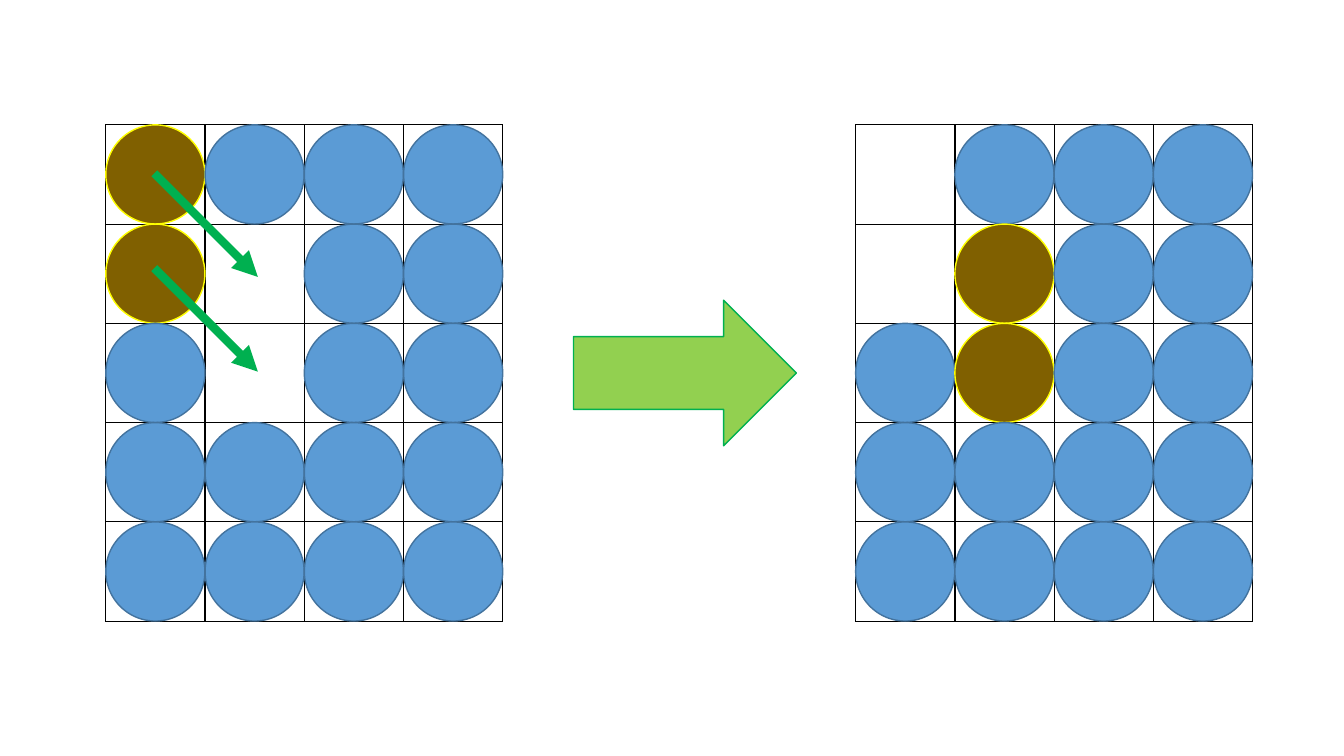
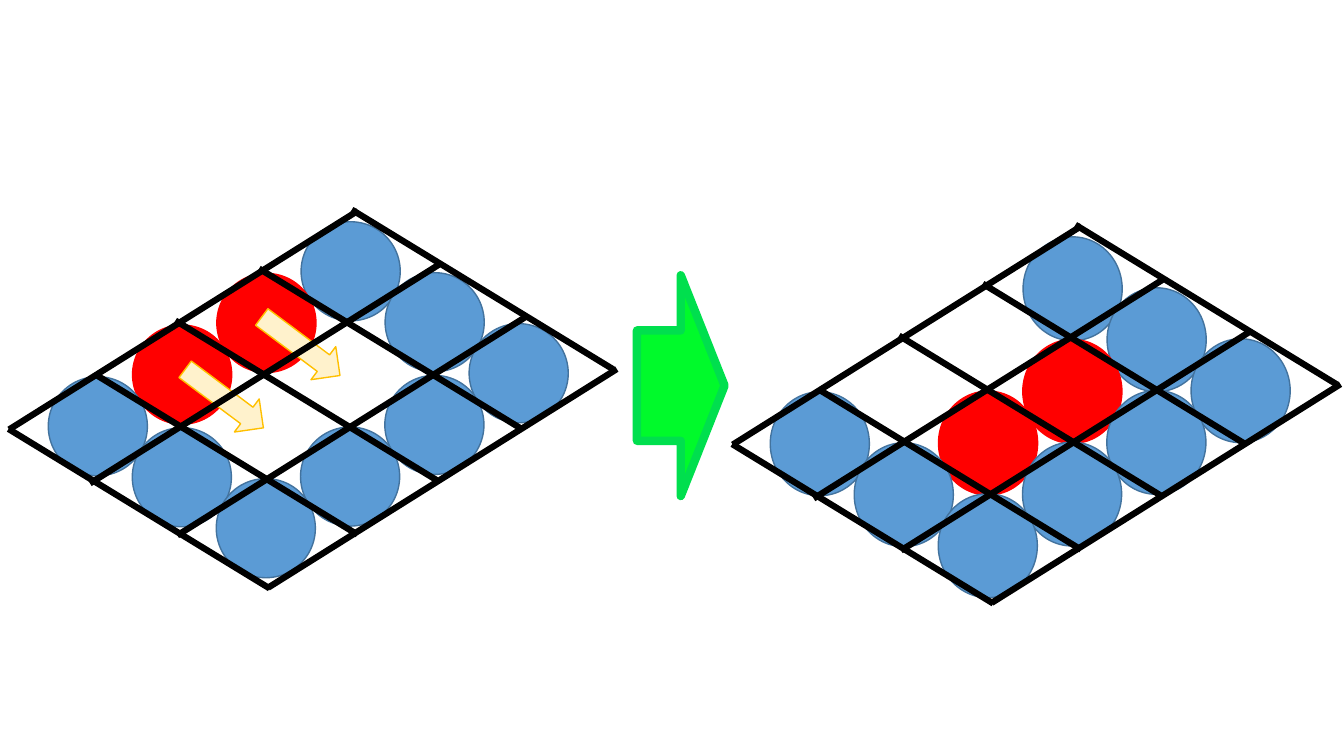
"""Build two slides that show a pair of pieces sliding into empty cells."""
from lxml import etree
from pptx import Presentation
from pptx.dml.color import RGBColor
from pptx.enum.shapes import MSO_CONNECTOR, MSO_SHAPE
from pptx.oxml.ns import qn
from pptx.util import Pt

OVAL = MSO_SHAPE.OVAL
RIGHT_ARROW = MSO_SHAPE.RIGHT_ARROW
STRAIGHT = MSO_CONNECTOR.STRAIGHT

BLACK, WHITE, GREEN = "000000", "FFFFFF", "00B050"
BLUE_PIECE = ("5B9BD5", "43739E")
BROWN_PIECE = ("806000", "FFFF00")
RED_PIECE = ("FF0000", "FF0000")
PIECE = 70.8

SQUARE_CELL = 70.9
SQUARE_TOP = 89.2
SQUARE_BOARDS = [
    (75.6, ["MBBB", "M.BB", "B.BB", "BBBB", "BBBB"]),
    (611.2, [".BBB", ".MBB", "BMBB", "BBBB", "BBBB"]),
]
MOVE_STARTS = [(110.2, 123.8), (110.2, 191.5)]
MOVE = (74, 74)

DIAMOND_BOARDS = [
    {"apex": (251.3, 149.8), "piece": (215.1, 158.4), "height": PIECE,
     "rows": ["BBB", "M.B", "M.B", "BBB"]},
    {"apex": (768.2, 160.6), "piece": (730.8, 169.2), "height": 74.2,
     "rows": ["BBB", ".MB", ".MB", "BBB"]},
]
ROW_STEP = (-60.2, 36.9)
COLUMN_STEP = (60, 36.4)
FALLING = (186.5, 113.9)
FALLING_STARTS = [(0, 0), (-66.2, 42.1), (-126, 79.2), (-182.5, 118.1), (-245.2, 156.6)]
RISING = (249.1, -156.2)
RISING_STARTS = [(-244.8, 157), (-187, 195.5), (-124.6, 232.6), (-59.8, 270)]
SMALL_ARROWS = [(180, 232.6), (125.3, 270)]


def color(value):
    return RGBColor.from_string(value)


def add_figure(page, kind, bounds, colors, weight=1, turn=0):
    figure = page.shapes.add_shape(kind, *(Pt(value) for value in bounds))
    figure.shadow.inherit = False
    figure.fill.solid()
    figure.fill.fore_color.rgb = color(colors[0])
    figure.line.color.rgb = color(colors[1])
    figure.line.width = Pt(weight)
    figure.rotation = turn


def add_stroke(page, start, vector, stroke_color, weight, arrow=False):
    end = [begin + change for begin, change in zip(start, vector)]
    stroke = page.shapes.add_connector(STRAIGHT, *(Pt(value) for value in (*start, *end)))
    stroke.line.color.rgb = color(stroke_color)
    stroke.line.width = Pt(weight)
    properties = stroke._element.spPr
    etree.SubElement(properties, qn("a:effectLst"))
    if arrow:
        etree.SubElement(properties.find(qn("a:ln")), qn("a:tailEnd"), type="triangle")


def add_pieces(page, rows, origin, row_step, column_step, height, moved_colors):
    for row, marks in enumerate(rows):
        for column, mark in enumerate(marks):
            if mark == ".":
                continue
            left, top = (origin[axis] + row * row_step[axis] + column * column_step[axis]
                         for axis in (0, 1))
            colors = moved_colors if mark == "M" else BLUE_PIECE
            add_figure(page, OVAL, (left, top, PIECE, height), colors)


def add_grid(page, left, top, row_count, column_count):
    frame = page.shapes.add_table(row_count, column_count, Pt(left), Pt(top),
                                  Pt(column_count * SQUARE_CELL), Pt(row_count * SQUARE_CELL))
    grid = frame.table
    grid.first_row = grid.horz_banding = False
    for row in grid.rows:
        row.height = Pt(SQUARE_CELL)
    for column in grid.columns:
        column.width = Pt(SQUARE_CELL)
    for cell in grid.iter_cells():
        properties = cell._tc.get_or_add_tcPr()
        for side in ("a:lnL", "a:lnR", "a:lnT", "a:lnB"):
            border = etree.SubElement(properties, qn(side), w=str(Pt(1)))
            fill = etree.SubElement(border, qn("a:solidFill"))
            etree.SubElement(fill, qn("a:srgbClr"), val=BLACK)
        cell.fill.solid()
        cell.fill.fore_color.rgb = color(WHITE)


def build_square_page(page):
    for left, rows in SQUARE_BOARDS:
        add_grid(page, left, SQUARE_TOP, len(rows), len(rows[0]))
        add_pieces(page, rows, (left, SQUARE_TOP), (0, SQUARE_CELL), (SQUARE_CELL, 0),
                   PIECE, BROWN_PIECE)
    for start in MOVE_STARTS:
        add_stroke(page, start, MOVE, GREEN, 6, arrow=True)
    add_figure(page, RIGHT_ARROW, (409.7, 214.4, 159.2, 104), ("92D050", GREEN))


def build_diamond_page(page):
    for board in DIAMOND_BOARDS:
        add_pieces(page, board["rows"], board["piece"], ROW_STEP, COLUMN_STEP,
                   board["height"], RED_PIECE)
    add_figure(page, RIGHT_ARROW, (455, 196.6, 62.6, 157.7), ("00FA2B", "00DF4E"), 6)
    for left, top in SMALL_ARROWS:
        add_figure(page, RIGHT_ARROW, (left, top, 69.8, 29.5), ("FFF2CC", "FFC000"), turn=36.8)
    for board in DIAMOND_BOARDS:
        for starts, vector in ((RISING_STARTS, RISING), (FALLING_STARTS, FALLING)):
            for offset in starts:
                start = [base + shift for base, shift in zip(board["apex"], offset)]
                add_stroke(page, start, vector, BLACK, 4.5)


deck = Presentation()
deck.slide_width, deck.slide_height = Pt(960), Pt(540)
for build_page in (build_square_page, build_diamond_page):
    build_page(deck.slides.add_slide(deck.slide_layouts[6]))
deck.save("out.pptx")
